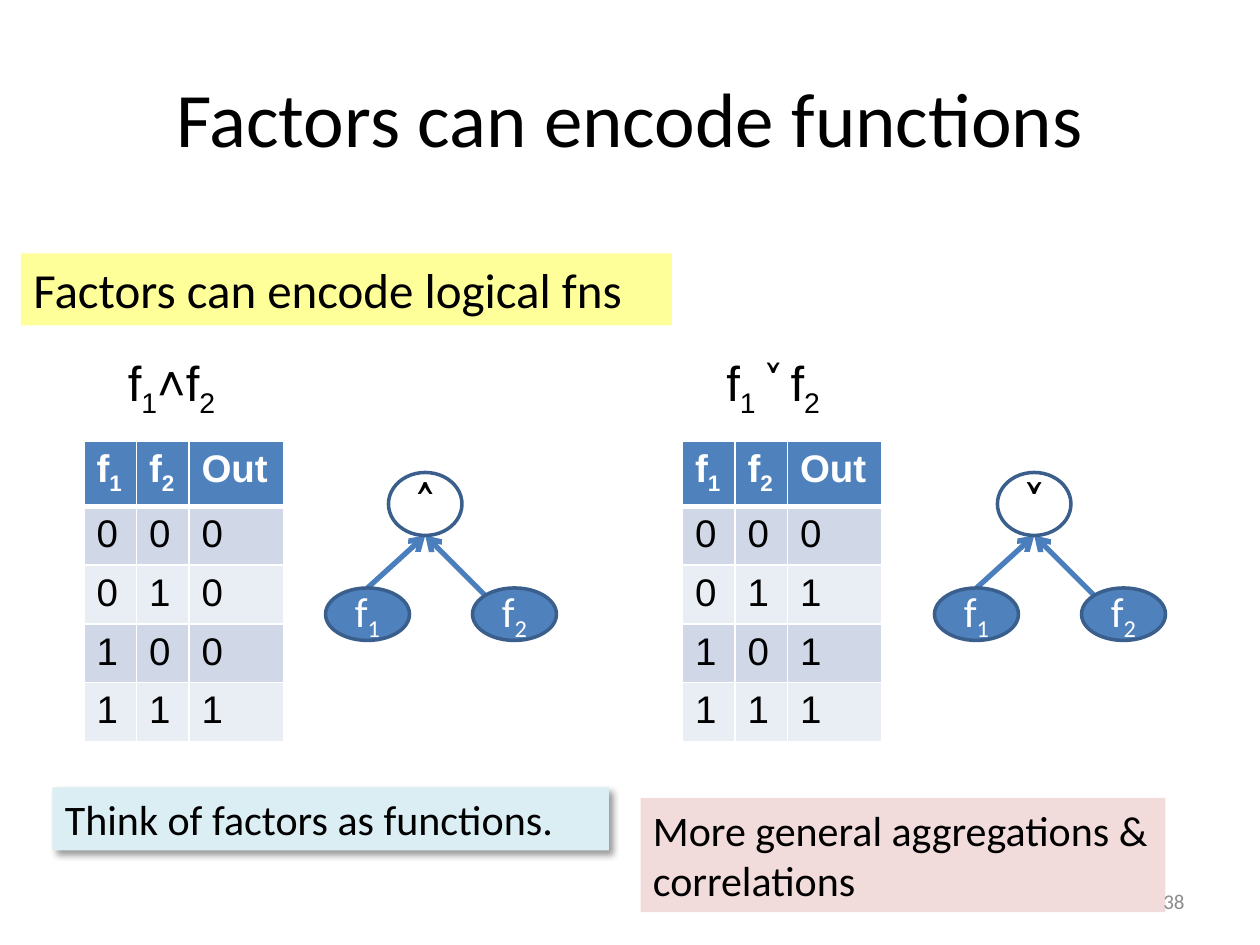
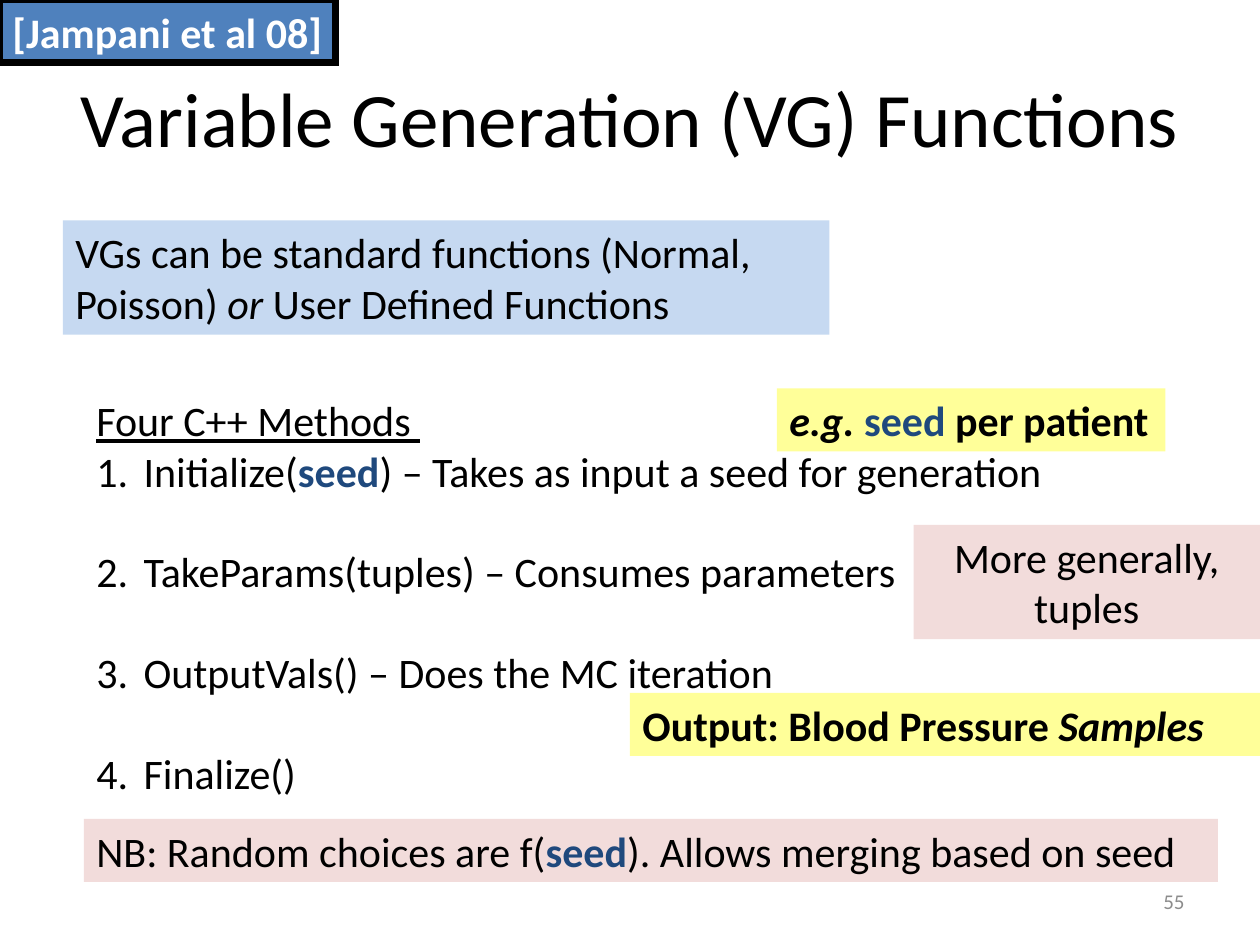
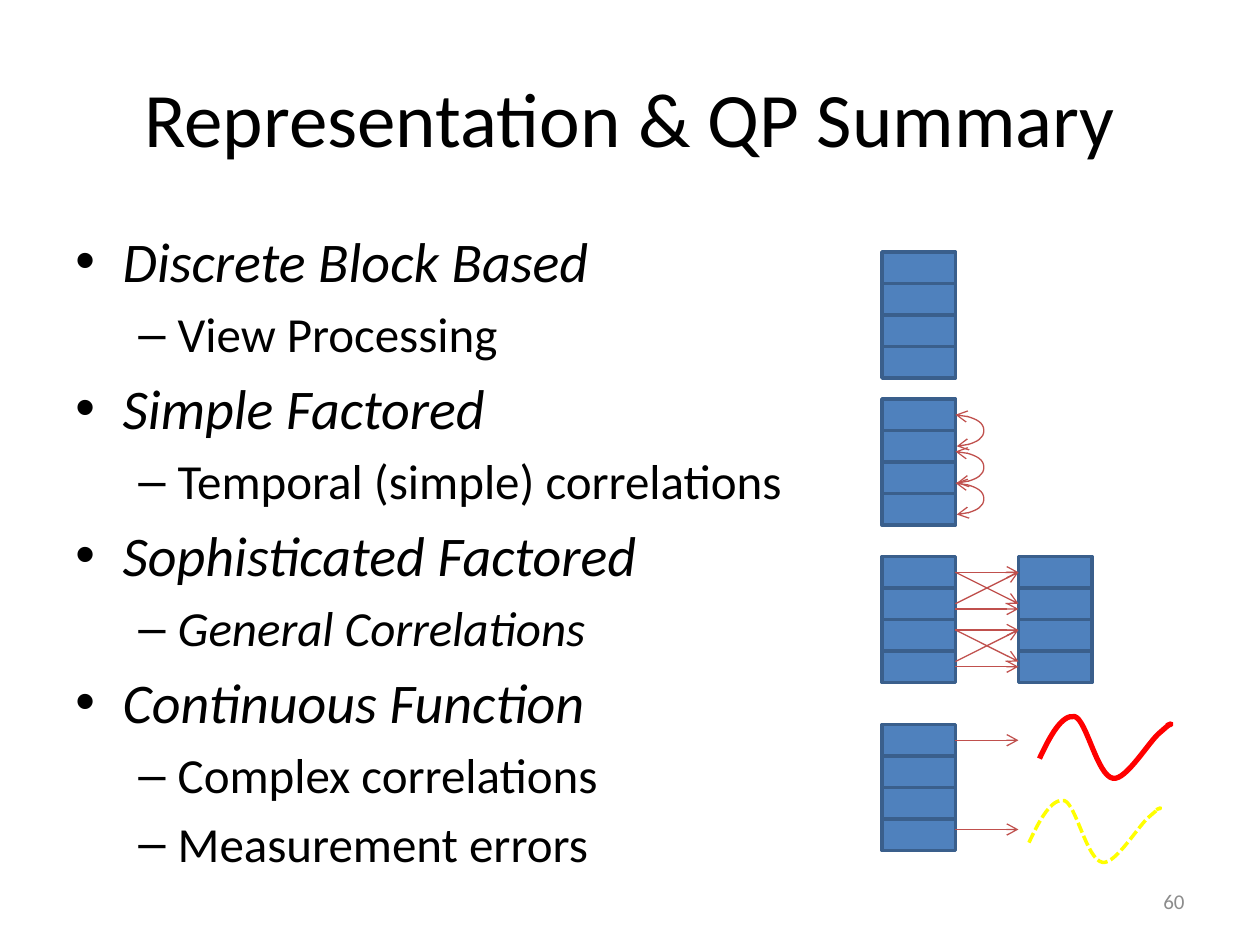
from dataclasses import dataclass
from typing import Any, NamedTuple

from lxml import etree
from pptx import Presentation
from pptx import util as u
from pptx.dml.color import RGBColor
from pptx.enum import dml, shapes, text
from pptx.oxml.ns import qn

PX = 9525
HUES = {
    "black": "000000", "white": "FFFFFF", "blue": "4F81BD", "edge": "3A5F8C",
    "wire": "4B7EBC", "navy": "1F497D", "pink": "F2DCDB", "lemon": "FFFF99",
    "aqua": "DBEEF4", "sky": "C6D9F1", "odd": "D0D8E8", "even": "E9EDF4",
    "brick": "C0504D", "red": "FF0000", "yellow": "FFFF00", "grey": "8C8C8C",
}
MARKS: dict[str, dict[str, Any]] = {
    "|": {"base": -25},
    "~": {"bold": True, "hue": "navy"},
    "^": {"italic": True},
    "`": {"font": "Cambria"},
}
ALIGN = {"l": text.PP_ALIGN.LEFT, "c": text.PP_ALIGN.CENTER, "r": text.PP_ALIGN.RIGHT}
RECT = shapes.MSO_SHAPE.RECTANGLE
OVAL = shapes.MSO_SHAPE.OVAL


class Spot(NamedTuple):
    x: int
    y: int
    w: int
    h: int


class Point(NamedTuple):
    x: float
    y: float


@dataclass
class Pen:
    hue: str
    size: float
    dash: Any = None
    sharp: bool = False


@dataclass
class Note:
    spot: Spot
    words: str
    fill: str
    align: str = "l"
    bold: bool = False
    size: int = 24


@dataclass
class Logic:
    title: Spot
    words: str
    grid: Point
    outs: str
    shift: int
    sign: str


@dataclass
class Item:
    words: str
    level: int = 0


EDGE = Pen("edge", 2)
WIRE = Pen("wire", 3)
THIN = Pen("brick", 0.75)


def px(size: float) -> int:
    return round(size * PX)


def tint(hue: str) -> RGBColor:
    return RGBColor.from_string(HUES[hue])


def node(base: Any, tag: str, **attrs: Any) -> Any:
    return etree.SubElement(base, qn(tag), {k: str(v) for k, v in attrs.items()})


def split(words: str) -> list[tuple[str, dict[str, Any]]]:
    parts: list[tuple[str, dict[str, Any]]] = []
    live: list[str] = []
    chunk = ""
    for sign in words + "\0":
        if sign not in MARKS and sign != "\0":
            chunk += sign
            continue
        if chunk:
            parts.append((chunk, {k: v for m in live for k, v in MARKS[m].items()}))
            chunk = ""
        live = [m for m in live if m != sign] + ([] if sign in live else [sign])
    return parts


def say(para: Any, words: str, *, size: float = 24, font: str = "Calibri",
        hue: str = "black", bold: bool = False, italic: bool = False,
        under: bool = False, base: int = 0, align: str = "l") -> None:
    look = dict(size=size, font=font, hue=hue, bold=bold, italic=italic,
                under=under, base=base)
    para.alignment = ALIGN[align]
    for chunk, extra in split(words):
        form = look | extra
        run = para.add_run()
        run.text = chunk
        run.font.size = u.Pt(form["size"])
        run.font.name = form["font"]
        run.font.bold = form["bold"]
        run.font.italic = form["italic"]
        run.font.underline = form["under"]
        run.font.color.rgb = tint(form["hue"])
        if form["base"]:
            run.font._element.set("baseline", str(form["base"] * 1000))


def ink(line: Any, pen: Pen) -> None:
    line.color.rgb = tint(pen.hue)
    line.width = u.Pt(pen.size)
    if pen.dash:
        line.dash_style = pen.dash
    if pen.sharp:
        node(line._get_or_add_ln(), "a:miter", lim=800000)


def box(slide: Any, spot: Spot, words: str = "", *, kind: Any = RECT, fill: str = "",
        pen: Pen | None = None, mid: bool = False, **form: Any) -> Any:
    place = [px(n) for n in spot]
    if fill:
        shape = slide.shapes.add_shape(kind, *place)
        shape.shadow.inherit = False
        shape.fill.solid()
        shape.fill.fore_color.rgb = tint(fill)
        if pen:
            ink(shape.line, pen)
        else:
            shape.line.fill.background()
    else:
        shape = slide.shapes.add_textbox(*place)
    frame = shape.text_frame
    frame.word_wrap = True
    frame.vertical_anchor = text.MSO_ANCHOR.MIDDLE if mid else text.MSO_ANCHOR.TOP
    if words:
        say(frame.paragraphs[0], words, **form)
        if not mid:
            frame.auto_size = text.MSO_AUTO_SIZE.SHAPE_TO_FIT_TEXT
    return shape


def start(deck: Any, title: str) -> Any:
    slide = deck.slides.add_slide(deck.slide_layouts[6])
    box(slide, Spot(48, 29, 864, 120), title, mid=True, size=44, align="c")
    return slide


def close(slide: Any, count: int) -> None:
    box(slide, Spot(688, 667, 224, 39), str(count), mid=True, size=12, hue="grey", align="r")


def jot(slide: Any, note: Note) -> Any:
    return box(slide, note.spot, note.words, fill=note.fill, align=note.align,
               bold=note.bold, size=note.size)


def wire(slide: Any, head: Point, tail: Point, pen: Pen, *, boxes: Any = (),
         curve: int = 0) -> Any:
    kind = shapes.MSO_CONNECTOR.CURVE if curve else shapes.MSO_CONNECTOR.STRAIGHT
    ends = [(px(p.x), px(p.y)) for p in (head, tail)]
    link = slide.shapes.add_connector(kind, *ends[0], *ends[1])
    for shape in boxes:
        mid = shape.top + shape.height // 2
        if (shape.left + shape.width, mid) == ends[0]:
            link.begin_connect(shape, 3)
        if (shape.left, mid) == ends[1]:
            link.end_connect(shape, 1)
    ink(link.line, pen)
    edge = link.line._get_or_add_ln()
    props = link._element.spPr
    if curve:
        guides = props.find(qn("a:prstGeom")).find(qn("a:avLst"))
        node(guides, "a:gd", name="adj1", fmla=f"val {curve * 100000}")
        node(edge, "a:headEnd", type="arrow")
    node(edge, "a:tailEnd", type="arrow")
    node(props, "a:effectLst")
    return link


def cast(shape: Any) -> None:
    props = shape._element.spPr
    fx = props.find(qn("a:effectLst"))
    dim = node(fx, "a:outerShdw", blurRad=u.Pt(4), dist=u.Pt(3), dir=2700000,
               algn="tl", rotWithShape=0)
    node(node(dim, "a:srgbClr", val=HUES["black"]), "a:alpha", val=40000)


def rim(cell: Any, row: int) -> None:
    props = cell._tc.get_or_add_tcPr()
    wide = {"T": 3 if row == 1 else 1, "B": 3 if row == 0 else 1}
    for side in "LRTB":
        line = node(props, f"a:ln{side}", w=u.Pt(wide.get(side, 1)))
        node(node(line, "a:solidFill"), "a:srgbClr", val=HUES["white"])


def truth(slide: Any, at: Point, outs: str) -> None:
    rows = [["f|1", "f|2", "Out"]]
    rows += [[*f"{n:02b}", out] for n, out in enumerate(outs)]
    widths = [40, 40, 72]
    frame = slide.shapes.add_table(len(rows), len(widths), px(at.x), px(at.y),
                                   px(sum(widths)), px(224))
    table = frame.table
    table.horz_banding = False
    for col, width in zip(table.columns, widths):
        col.width = px(width)
    for r, row in enumerate(rows):
        table.rows[r].height = px(39)
        top = r == 0
        for c, words in enumerate(row):
            cell = table.cell(r, c)
            rim(cell, r)
            cell.fill.solid()
            cell.fill.fore_color.rgb = tint("blue" if top else "odd" if r % 2 else "even")
            say(cell.text_frame.paragraphs[0], words, size=22, font="Arial",
                hue="white" if top else "black", bold=top)
    frame.height = px(224)


def graph(slide: Any, dx: int, sign: str) -> None:
    tip = Point(324 + dx, 408)
    for foot in (Point(280 + dx, 448), Point(370 + dx, 454)):
        wire(slide, foot, tip, WIRE)
    for x, words in ((360, "f|2"), (248, "f|1")):
        box(slide, Spot(x + dx, 448, 64, 40), words, kind=OVAL, fill="blue", pen=EDGE,
            mid=True, hue="white", align="c")
    box(slide, Spot(296 + dx, 360, 56, 48), sign, kind=OVAL, fill="white", pen=EDGE,
        mid=True, size=32, font="Cambria", bold=True, align="c")


def mark(para: Any, left: int, hang: int, sign: str = "", gap: int = 0) -> None:
    props = para._p.get_or_add_pPr()
    props.set("marL", str(px(left)))
    props.set("indent", str(px(-hang)))
    if gap:
        node(node(props, "a:spcBef"), "a:spcPct", val=gap * 1000)
    if sign:
        node(props, "a:buFont", typeface="Arial")
        node(props, "a:buChar", char=sign)
    else:
        node(props, "a:buFont", typeface="+mj-lt")
        node(props, "a:buAutoNum", type="arabicPeriod")


def stack(slide: Any, x: int, y: int) -> list[Any]:
    return [box(slide, Spot(x, y + 24 * n, 56, 24), fill="blue", pen=EDGE) for n in range(4)]


def wave(slide: Any, dx: int, dy: int, pen: Pen) -> None:
    knots = [(792, 578), (800, 561), (809, 544), (819, 546), (828, 549), (836, 591),
             (848, 593), (858, 595), (876, 564), (884, 558), (892, 551), (891, 552),
             (892, 552), (893, 551), (891, 552), (889, 553)]
    dots = [(px(x + dx), px(y + dy)) for x, y in knots]
    path = slide.shapes.build_freeform(*dots[0], scale=1.0)
    path.add_line_segments(dots[1:], close=False)
    shape = path.convert_to_shape()
    lines = list(shape._element.iter(qn("a:lnTo")))
    for n in range(0, len(lines), 3):
        bend = node(lines[n].getparent(), "a:cubicBezTo")
        for line in lines[n:n + 3]:
            bend.append(line[0])
            line.getparent().remove(line)
    shape.shadow.inherit = False
    shape.fill.background()
    ink(shape.line, pen)


def factors(deck: Any) -> None:
    slide = start(deck, "Factors can encode functions")
    jot(slide, Note(Spot(488, 608, 400, 87), "More general aggregations & correlations", "pink"))
    jot(slide, Note(Spot(16, 193, 496, 55), "Factors can encode logical fns", "lemon", size=28))
    cast(jot(slide, Note(Spot(40, 600, 424, 48), "Think of factors as functions.", "aqua")))
    for part in (
        Logic(Spot(88, 264, 96, 55), "f|1|˄f|2", Point(64, 336), "0001", 0, "˄"),
        Logic(Spot(544, 264, 112, 55), "f|1|` ˅ `f|2", Point(520, 336), "0111", 464, "˅"),
    ):
        box(slide, part.title, part.words, size=28, font="Arial")
        truth(slide, part.grid, part.outs)
        graph(slide, part.shift, part.sign)
    close(slide, 38)


def methods(deck: Any) -> None:
    slide = start(deck, "Variable Generation (VG) Functions")
    box(slide, Spot(0, 0, 256, 48), "[Jampani et al 08]", fill="blue",
        pen=Pen("black", 4, sharp=True), hue="white", bold=True)
    frame = box(slide, Spot(64, 296, 760, 320), "Four C++ Methods ", under=True).text_frame
    steps = [
        "Initialize(~seed~) – Takes as input a seed for generation",
        "TakeParams(tuples) – Consumes parameters",
        "OutputVals() – Does the MC iteration",
        "Finalize()",
    ]
    for n, step in enumerate(steps):
        para = frame.add_paragraph()
        if n:
            para.space_before = u.Pt(28.8)
        mark(para, 36, 36)
        say(para, step)
    for note in (
        Note(Spot(64, 624, 864, 48),
             "NB: Random choices are f(~seed~). Allows merging based on seed", "pink"),
        Note(Spot(480, 528, 480, 48), "Output: Blood Pressure ^Samples", "lemon", bold=True),
        Note(Spot(48, 168, 584, 87),
             "VGs can be standard functions (Normal, Poisson) ^or^ User Defined Functions", "sky"),
        Note(Spot(592, 296, 296, 48), "^e.g. ^~seed~ per patient", "lemon", bold=True),
        Note(Spot(696, 400, 264, 87), "More generally, tuples", "pink", align="c"),
    ):
        jot(slide, note)
    close(slide, 55)


def summary(deck: Any) -> None:
    slide = start(deck, "Representation & QP Summary")
    frame = box(slide, Spot(48, 168, 864, 475)).text_frame
    items = [
        Item("^Discrete Block Based"), Item("View Processing", 1),
        Item("^Simple Factored"), Item("Temporal (simple) correlations", 1),
        Item("^Sophisticated Factored"), Item("^General Correlations", 1),
        Item("^Continuous Function"), Item("Complex correlations", 1),
        Item("Measurement errors", 1),
    ]
    for n, item in enumerate(items):
        para = frame.add_paragraph() if n else frame.paragraphs[0]
        para.level = item.level
        left, hang, sign = (78, 30, "–") if item.level else (36, 36, "•")
        mark(para, left, hang, sign, 20 if n else 0)
        say(para, item.words, size=28 if item.level else 32)

    near, far = 728, 776
    stack(slide, 672, 192)
    stack(slide, 672, 304)
    for y in (316, 344, 368):
        wire(slide, Point(near, y), Point(near + 1, y + 24), THIN, curve=22)

    pair = stack(slide, 672, 424) + stack(slide, far, 424)
    for y in (436, 480):
        for a, b in ((0, 24), (24, 0), (0, 0), (28, 28)):
            wire(slide, Point(near, y + a), Point(far, y + b), THIN, boxes=pair)

    last = stack(slide, 672, 552)
    for y in (564, 632):
        wire(slide, Point(near, y), Point(far, y), THIN, boxes=last)
    wave(slide, 0, 0, Pen("red", 3))
    wave(slide, -8, 64, Pen("yellow", 2, dml.MSO_LINE.SQUARE_DOT))
    close(slide, 60)


def main() -> None:
    deck = Presentation()
    deck.slide_width, deck.slide_height = px(960), px(720)
    for build in (factors, methods, summary):
        build(deck)
    deck.save("out.pptx")


if __name__ == "__main__":
    main()
